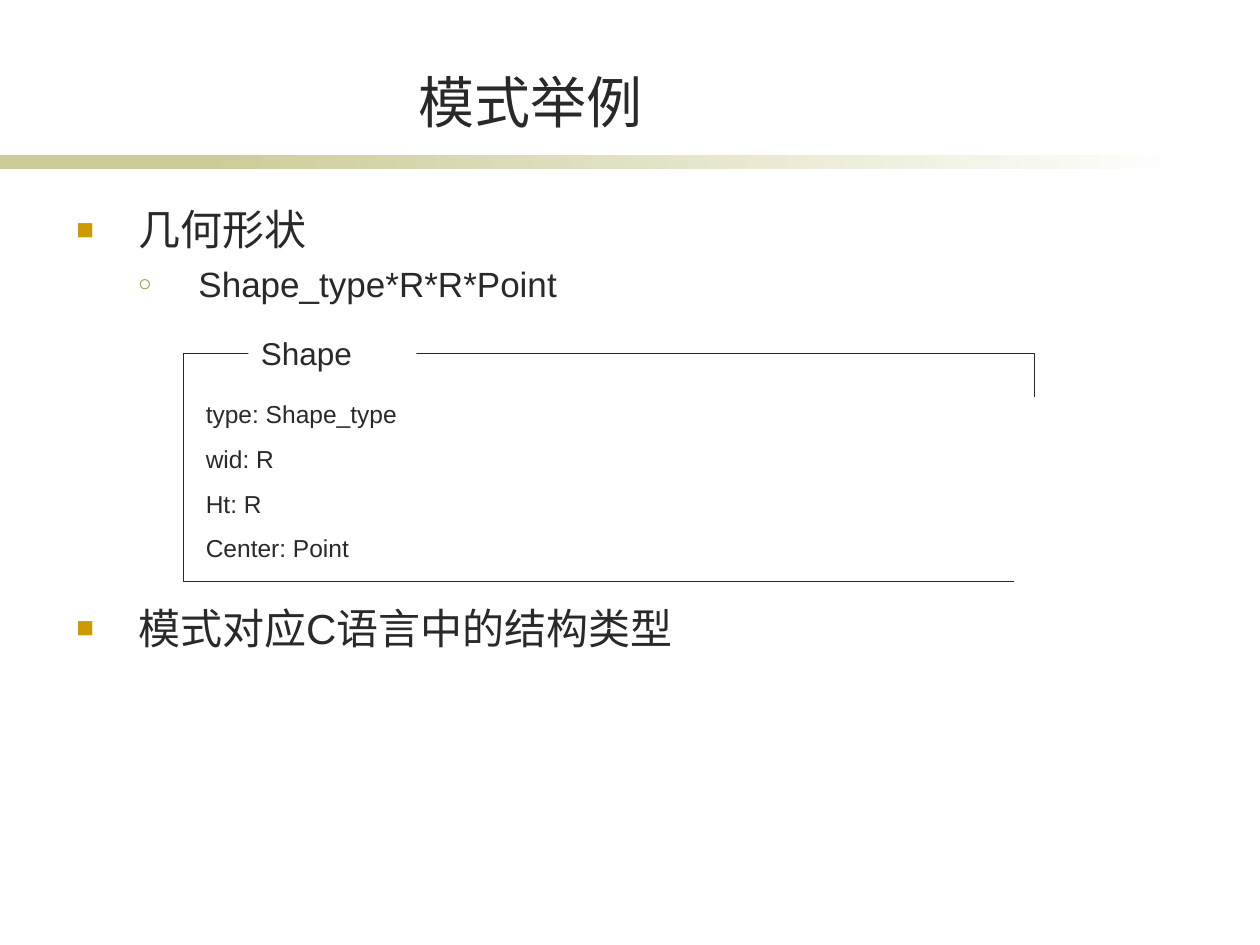
from pptx import Presentation
from pptx.util import Pt
from pptx.dml.color import RGBColor
from pptx.enum.shapes import MSO_SHAPE
from pptx.enum.text import MSO_ANCHOR, PP_ALIGN
from lxml.etree import SubElement
from pptx.oxml.ns import qn

INK, OLIVE, WHITE = "292929", "CCCC99", "FFFFFF"
TITLE = "模式举例"
SQUARE = ("■", "CC9900", 70)
CIRCLE = ("○", "999933", 65)
# text, size, level, left margin, hanging indent, space before, bullet
OUTLINE = [
    ("几何形状", 24, 0, 35.3, 35.3, 0, SQUARE),
    ("Shape_type*R*R*Point", 20, 1, 69.8, 34.5, 5, CIRCLE),
    ("模式对应C语言中的结构类型", 24, 0, 35.3, 35.3, 170, SQUARE),
]
SCHEMA_NAME = "Shape"
SCHEMA_FIELDS = ["type: Shape_type", "wid: R", "Ht: R", "Center: Point"]


def rgb(color):
    return RGBColor.from_string(color)


def add_rect(box, fill=None, line=None):
    s = slide.shapes.add_shape(MSO_SHAPE.RECTANGLE, *map(Pt, box))
    s.shadow.inherit = False
    if fill:
        s.fill.solid()
        s.fill.fore_color.rgb = rgb(fill)
    else:
        s.fill.background()
    if line:
        s.line.color.rgb = rgb(line)
        s.line.width = Pt(0.75)
    else:
        s.line.fill.background()
    return s


def write(s, lines, size, align=PP_ALIGN.LEFT, anchor=MSO_ANCHOR.TOP, inset=3.6, gap=0):
    """Fill a shape with one paragraph per line, gap points apart."""
    tf = s.text_frame
    tf.word_wrap = True
    tf.vertical_anchor = anchor
    tf.margin_top = tf.margin_bottom = Pt(inset)
    tf.text = "\n".join(lines)
    for i, p in enumerate(tf.paragraphs):
        p.alignment = align
        p.space_before = Pt(gap if i else 0)
        font = p.runs[0].font
        font.name, font.size = "Arial", Pt(size)
        font.color.rgb = rgb(INK)
    return tf


def add_text(box, lines, size, **options):
    return write(slide.shapes.add_textbox(*map(Pt, box)), lines, size, **options)


def set_bullet(p, margin, hanging, bullet):
    char, color, percent = bullet
    pPr = p._p.get_or_add_pPr()
    pPr.set("marL", str(Pt(margin)))
    pPr.set("indent", str(-Pt(hanging)))
    SubElement(SubElement(pPr, qn("a:buClr")), qn("a:srgbClr"), val=color)
    SubElement(pPr, qn("a:buSzPct"), val=str(percent * 1000))
    SubElement(pPr, qn("a:buFont"), typeface="Arial")
    SubElement(pPr, qn("a:buChar"), char=char)


prs = Presentation()
prs.slide_width, prs.slide_height = Pt(720), Pt(540)
slide = prs.slides.add_slide(prs.slide_layouts[6])

# Title and the fading rule below it
add_rect((0, 88.5, 168, 8), OLIVE)
fade = add_rect((114, 88.5, 570, 8), OLIVE)
fade.fill.gradient()
fade.fill.gradient_angle = 0
for stop, color, position in zip(fade.fill.gradient_stops, (OLIVE, WHITE), (0, 1)):
    stop.color.rgb = rgb(color)
    stop.position = position
add_text((82, 31.5, 442, 45.5), [TITLE], 32, align=PP_ALIGN.CENTER,
         anchor=MSO_ANCHOR.BOTTOM, inset=0)

# Bulleted outline
outline = add_text((36.5, 116.5, 641, 345.5), [row[0] for row in OUTLINE], 24, inset=0)
for p, (_, size, level, margin, hanging, before, bullet) in zip(outline.paragraphs, OUTLINE):
    p.level = level
    p.space_before = Pt(before)
    p.runs[0].font.size = Pt(size)
    set_bullet(p, margin, hanging, bullet)

# Schema box: name set into the top edge, right side left open
add_rect((105, 202, 486, 130.5), line=INK)
write(add_rect((142, 187.5, 96, 28.8), WHITE), [SCHEMA_NAME], 18)
add_text((110.5, 224.5, 126, 101), SCHEMA_FIELDS, 14, gap=8.8)
add_rect((579.5, 227, 18, 192), WHITE)

prs.save("out.pptx")
